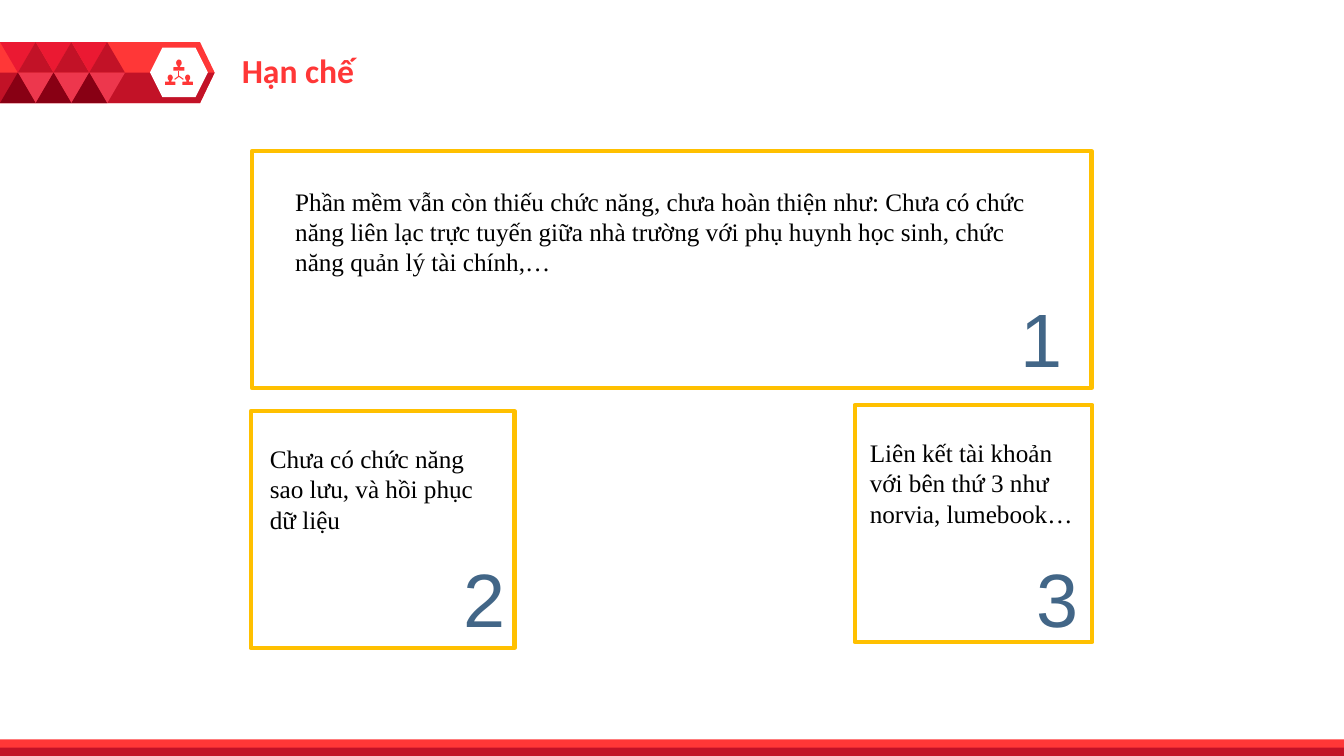
"""Build the limitations slide: a title ribbon and three numbered cards."""
from lxml import etree
from pptx import Presentation
from pptx import util as u
from pptx.dml.color import RGBColor
from pptx.enum import shapes, text
from pptx.oxml import ns

TITLE = "Hạn chế"
CARDS = [
    {"number": "1", "frame": (6.35, 3.81, 21.16, 5.97), "body": (7.19, 4.57, 19.53),
     "number_at": (22.86, 7.24),
     "words": "Phần mềm vẫn còn thiếu chức năng, chưa hoàn thiện như: Chưa có chức năng "
              "liên lạc trực tuyến giữa nhà trường với phụ huynh học sinh, chức năng "
              "quản lý tài chính,…"},
    {"number": "2", "frame": (6.32, 10.36, 6.65, 5.97), "body": (6.55, 11.05, 6.12),
     "number_at": (8.81, 13.79),
     "words": "Chưa có chức năng sao lưu, và hồi phục dữ liệu"},
    {"number": "3", "frame": (21.54, 10.21, 5.99, 5.97), "body": (21.67, 10.9, 5.99),
     "number_at": (23.27, 13.79),
     "words": "Liên kết tài khoản với bên thứ 3 như norvia, lumebook…"},
]
COLORS = {"red": "FF3737", "dark": "C21227", "crimson": "EB1932", "rose": "ED374D",
          "maroon": "880014", "white": "FFFFFF", "gold": "FFC000", "blue": "426687",
          "black": "000000"}
WIDTH, HEIGHT = 33.87, 19.05
RIBBON_TOP, RIBBON_MIDDLE, RIBBON_BOTTOM = 1.06, 1.83, 2.6
RIBBON_WIDTH, RIBBON_SHOULDER = 5.41, 5.04
TRIANGLE_WIDTH, TRIANGLE_HEIGHT = 0.9, 0.77
TRIANGLES = [(0, RIBBON_TOP, 180, "crimson"), (0.5, RIBBON_TOP, 0, "dark"),
             (0.5, RIBBON_MIDDLE, 180, "rose"), (0, RIBBON_MIDDLE, 0, "maroon")]
PEOPLE = [(4.51, 1.5, 0.28), (4.29, 1.88, 0.26), (4.73, 1.88, 0.26)]
HUB = (4.51, 1.92)
SPOKES = [(4.51, 1.8), (4.4, 2.0), (4.62, 2.0)]
Kind = shapes.MSO_SHAPE


def color(name):
    return RGBColor.from_string(COLORS[name])


def paint(shape, fill):
    shape.shadow.inherit = False
    shape.fill.solid()
    shape.fill.fore_color.rgb = color(fill)
    shape.line.fill.background()
    return shape


def add_block(page, kind, bounds, fill):
    return paint(page.shapes.add_shape(kind, *map(u.Cm, bounds)), fill)


def add_outline(page, points, fill):
    corners = [(u.Cm(x), u.Cm(y)) for x, y in points]
    builder = page.shapes.build_freeform(*corners[0])
    builder.add_line_segments(corners[1:], close=True)
    return paint(builder.convert_to_shape(), fill)


def write(box, words, size, font, ink, bold=False, align=text.PP_ALIGN.LEFT):
    frame = box.text_frame
    frame.word_wrap = True
    frame.auto_size = text.MSO_AUTO_SIZE.NONE
    frame.vertical_anchor = text.MSO_ANCHOR.TOP
    frame.text = words
    para = frame.paragraphs[0]
    para.alignment = align
    span = para.runs[0]
    span.font.size = u.Pt(size)
    span.font.name = font
    span.font.bold = bold
    span.font.color.rgb = color(ink)


def add_words(page, bounds, *style, **options):
    write(page.shapes.add_textbox(*map(u.Cm, bounds)), *style, **options)


def add_person(page, center, top, size):
    head = size * 0.5
    add_block(page, Kind.OVAL, (center - head / 2, top, head, size * 0.6), "red")
    add_block(page, Kind.ROUND_2_SAME_RECTANGLE,
              (center - size / 2, top + size * 0.68, size, size * 0.32), "red")
    add_block(page, Kind.RECTANGLE,
              (center - size * 0.12, top + size * 0.5, size * 0.24, size * 0.25), "red")


def add_spoke(page, end):
    spoke = page.shapes.add_connector(shapes.MSO_CONNECTOR.STRAIGHT,
                                      *map(u.Cm, HUB + end))
    spoke.line.color.rgb = color("red")
    spoke.line.width = u.Pt(0.75)
    properties = spoke.element.find(ns.qn("p:spPr"))
    etree.SubElement(properties, ns.qn("a:effectLst"))


def add_ribbon(page):
    plate = add_block(page, Kind.PENTAGON,
                      (0, RIBBON_TOP, RIBBON_WIDTH, RIBBON_BOTTOM - RIBBON_TOP), "red")
    plate.adjustments[0] = 0.24
    add_outline(page, [(0, RIBBON_MIDDLE), (RIBBON_WIDTH, RIBBON_MIDDLE),
                       (RIBBON_SHOULDER, RIBBON_BOTTOM), (0, RIBBON_BOTTOM)], "dark")
    add_block(page, Kind.HEXAGON, (3.78, 1.2, 1.46, 1.25), "white")
    for person in PEOPLE:
        add_person(page, *person)
    for end in SPOKES:
        add_spoke(page, end)
    for column in range(3):
        for shift, top, turn, fill in TRIANGLES:
            left = (column + shift) * TRIANGLE_WIDTH
            triangle = add_block(page, Kind.ISOSCELES_TRIANGLE,
                                 (left, top, TRIANGLE_WIDTH, TRIANGLE_HEIGHT), fill)
            triangle.rotation = turn


def add_card(page, card):
    frame = page.shapes.add_shape(Kind.RECTANGLE, *map(u.Cm, card["frame"]))
    frame.shadow.inherit = False
    frame.fill.background()
    frame.line.color.rgb = color("gold")
    frame.line.width = u.Pt(3)
    add_words(page, card["body"] + (2.56,), card["words"], 18, "Times New Roman", "black")
    add_words(page, card["number_at"] + (4.17, 2.56), card["number"], 54, "Arial", "blue",
              align=text.PP_ALIGN.RIGHT)


def main():
    deck = Presentation()
    deck.slide_width, deck.slide_height = u.Cm(WIDTH), u.Cm(HEIGHT)
    page = deck.slides.add_slide(deck.slide_layouts[5])
    add_ribbon(page)
    add_block(page, Kind.RECTANGLE, (0, 18.63, WIDTH, 0.42), "red")
    add_block(page, Kind.RECTANGLE, (0, 18.84, WIDTH, 0.21), "dark")
    title = page.shapes.title
    title.left, title.top, title.width, title.height = map(u.Cm, (5.84, 1.14, 10.72, 1.27))
    write(title, TITLE, 24, "Calibri", "red", bold=True)
    for card in CARDS:
        add_card(page, card)
    deck.save("out.pptx")


if __name__ == "__main__":
    main()
